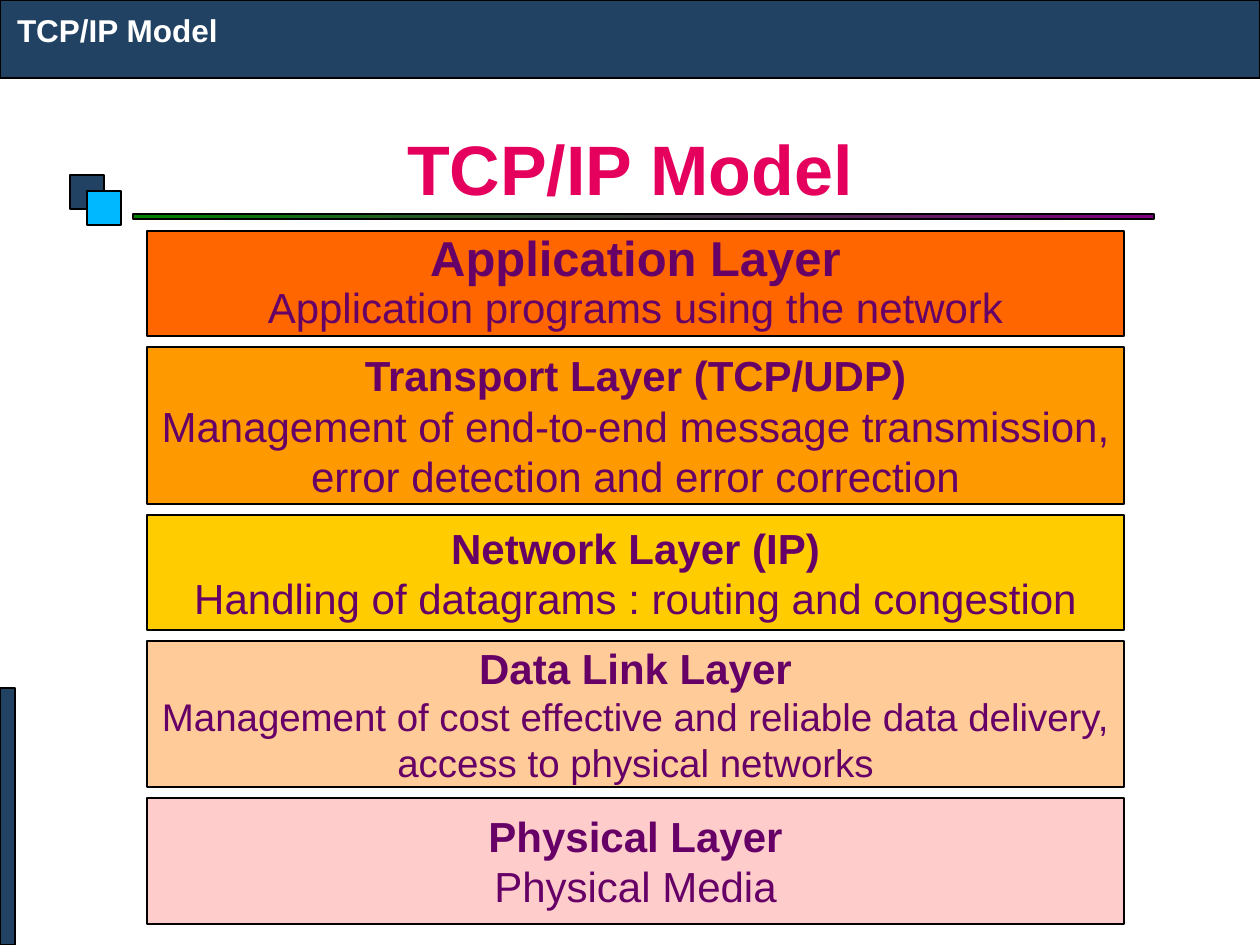
from pptx import Presentation
from pptx.dml.color import RGBColor
from pptx.enum.shapes import MSO_SHAPE
from pptx.enum.text import MSO_ANCHOR, PP_ALIGN
from pptx.util import Emu, Pt

RECTANGLE = MSO_SHAPE.RECTANGLE
MIDDLE, TOP = MSO_ANCHOR.MIDDLE, MSO_ANCHOR.TOP
CENTER, LEFT = PP_ALIGN.CENTER, PP_ALIGN.LEFT

NAVY = RGBColor(0x21, 0x42, 0x63)
SKY = RGBColor(0x00, 0xB8, 0xFF)
PINK = RGBColor(0xE4, 0x00, 0x5C)
PLUM = RGBColor(0x66, 0x00, 0x66)
PURPLE = RGBColor(0x80, 0x00, 0x80)
GREEN = RGBColor(0x00, 0x80, 0x00)
BLACK = RGBColor(0x00, 0x00, 0x00)
WHITE = RGBColor(0xFF, 0xFF, 0xFF)

# Content
TITLE = "TCP/IP Model"
# height, fill, heading size, body size, line spacing, heading, body lines
LAYERS = [
    (105, RGBColor(0xFF, 0x66, 0x00), 28, 24, 0.9, "Application Layer",
     ["Application programs using the network"]),
    (157, RGBColor(0xFF, 0x99, 0x00), 24, 24, 1.0, "Transport Layer (TCP/UDP)",
     ["Management of end-to-end message transmission,",
      "error detection and error correction"]),
    (115, RGBColor(0xFF, 0xCC, 0x00), 24, 24, 1.0, "Network Layer (IP)",
     ["Handling of datagrams : routing and congestion"]),
    (146, RGBColor(0xFF, 0xCC, 0x99), 24, 22, 1.0, "Data Link Layer",
     ["Management of cost effective and reliable data delivery,",
      "access to physical networks"]),
    (126, RGBColor(0xFF, 0xCC, 0xCC), 24, 24, 1.0, "Physical Layer",
     ["Physical Media"]),
]
STACK_LEFT, STACK_TOP, STACK_WIDTH, STACK_GAP = 147, 231, 977, 11

# left, top, width, height, fill
DECORATIONS = [
    (0, 0, 1260, 78, NAVY),
    (70, 175, 34, 34, NAVY),
    (87, 191, 34, 34, SKY),
    (0, 688, 15, 257, NAVY),
]
TITLE_RULE = (133, 214, 1021, 5)


def px(value):
    return Emu(round(value * 914400 / 126))


def add_box(bounds, fill, line_width):
    shape = slide.shapes.add_shape(RECTANGLE, *map(px, bounds))
    shape.shadow.inherit = False
    if fill is not None:
        shape.fill.solid()
        shape.fill.fore_color.rgb = fill
    shape.line.color.rgb = BLACK
    shape.line.width = Pt(line_width)
    return shape


def set_frame(frame, **values):
    for name, value in values.items():
        setattr(frame, name, value)


def write(paragraph, text, color, alignment, line_spacing=1.0, **font_values):
    paragraph.alignment = alignment
    paragraph.line_spacing = line_spacing
    run = paragraph.add_run()
    run.text = text
    run.font.color.rgb = color
    for name, value in {"name": "Arial", **font_values}.items():
        setattr(run.font, name, value)


NO_MARGINS = dict(margin_left=0, margin_top=0, margin_right=0, margin_bottom=0)

presentation = Presentation()
presentation.slide_width, presentation.slide_height = px(1260), px(945)
slide = presentation.slides.add_slide(presentation.slide_layouts[5])

# Title
title = slide.shapes.title
title.left, title.top, title.width, title.height = map(px, (63, 94, 1134, 148))
set_frame(title.text_frame, vertical_anchor=MIDDLE, **NO_MARGINS)
write(title.text_frame.paragraphs[0], TITLE, PINK, CENTER, size=Pt(40), bold=True)

# Bars, squares and the rule under the title
for *bounds, fill in DECORATIONS:
    add_box(bounds, fill, 0.75)
rule = add_box(TITLE_RULE, None, 0.75)
rule.fill.gradient()
rule.fill.gradient_angle = 210
for stop, color, position in zip(rule.fill.gradient_stops, (PURPLE, GREEN), (0, 1)):
    stop.color.rgb = color
    stop.position = position

# Header text
header = slide.shapes.add_textbox(*map(px, (17, 14, 801, 36)))
set_frame(header.text_frame, word_wrap=True, vertical_anchor=TOP, **NO_MARGINS)
write(header.text_frame.paragraphs[0], TITLE, WHITE, LEFT, 0.95, size=Pt(18), bold=True)

# Layer stack
top = STACK_TOP
for height, fill, heading_size, body_size, spacing, heading, body in LAYERS:
    layer = add_box((STACK_LEFT, top, STACK_WIDTH, height), fill, 1)
    frame = layer.text_frame
    set_frame(frame, word_wrap=False, vertical_anchor=MIDDLE, margin_top=0, margin_bottom=0)
    write(frame.paragraphs[0], heading, PLUM, CENTER, spacing,
          size=Pt(heading_size), bold=True)
    for line in body:
        write(frame.add_paragraph(), line, PLUM, CENTER, spacing,
              size=Pt(body_size), bold=False)
    top += height + STACK_GAP

presentation.save("out.pptx")
